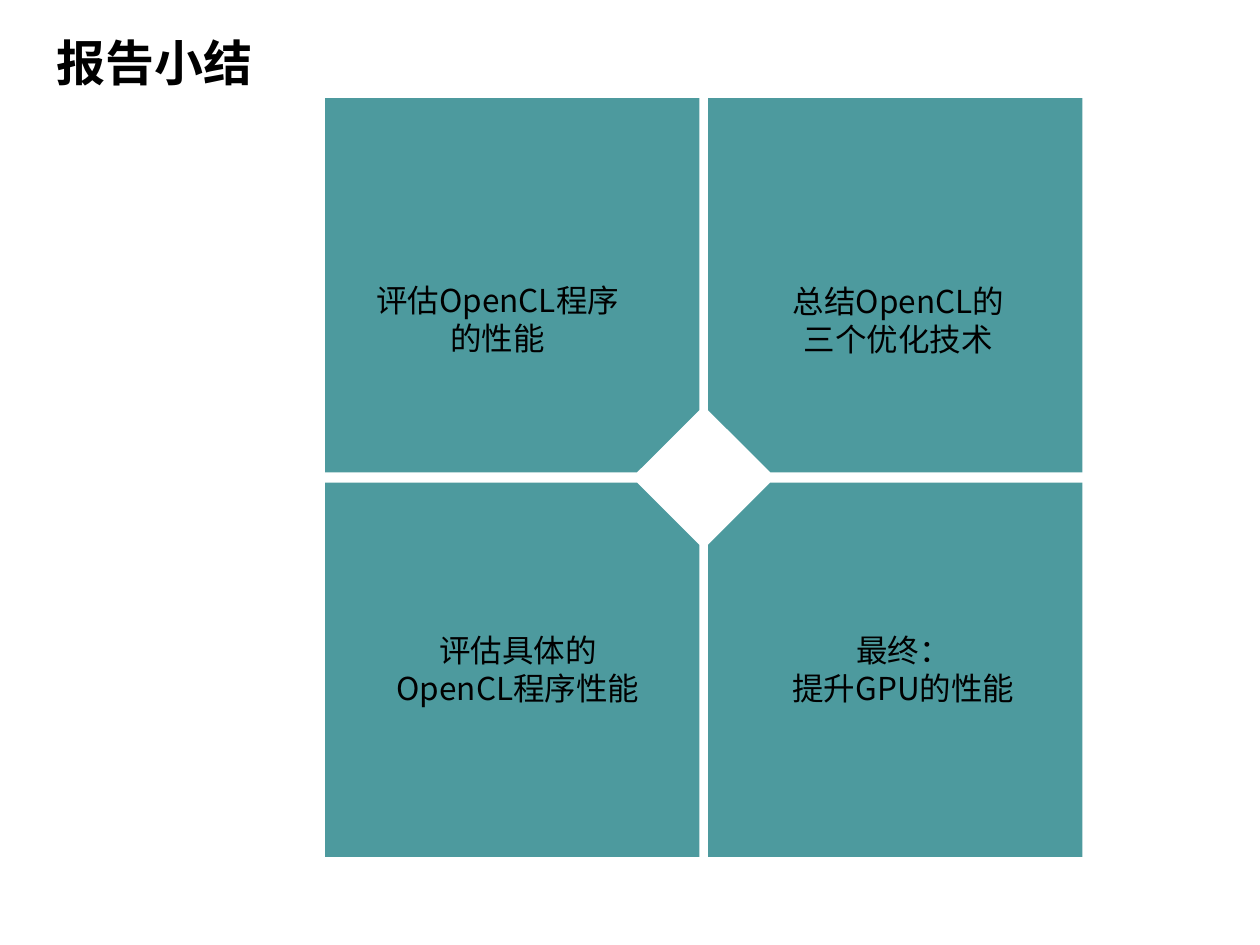
from pptx import Presentation
from pptx.dml.color import RGBColor
from pptx.enum.shapes import MSO_SHAPE as SHAPE
from pptx.enum.text import MSO_ANCHOR as ANCHOR, MSO_AUTO_SIZE as AUTO, PP_ALIGN as ALIGN
from pptx.oxml.ns import qn
from pptx.util import Inches, Pt
from lxml.etree import SubElement

CJK = "Noto Sans CJK SC"
TEAL, BLACK = "4D9A9E", "000000"
TITLE = dict(size=Pt(28), name="Arial", bold=True)
BODY = dict(size=Pt(18), name=CJK, bold=False)

# (column, row, text left and top within the tile, text width, lines)
TILES = [
    (0, 0, 0.28, 1.40, 2.18, ["评估OpenCL程序", "的性能"]),
    (1, 0, 0.55, 1.41, 1.92, ["总结OpenCL的", "三个优化技术"]),
    (0, 1, 0.44, 1.13, 2.18, ["评估具体的", "OpenCL程序性能"]),
    (1, 1, 0.55, 1.13, 2.00, ["最终：", "提升GPU的性能"]),
]


def rgb(value):
    """Return a colour from a hex string."""
    return RGBColor.from_string(value)


def place(sp, x, y, w, h):
    """Move and size a shape, in inches."""
    for key, value in dict(left=x, top=y, width=w, height=h).items():
        setattr(sp, key, Inches(value))


def write(sp, lines, fmt, align, wrap=True):
    """Fill a shape with one paragraph per line."""
    tf = sp.text_frame
    for key, value in dict(word_wrap=wrap, auto_size=AUTO.NONE,
                           vertical_anchor=ANCHOR.TOP).items():
        setattr(tf, key, value)
    for i, line in enumerate(lines):
        p = tf.add_paragraph() if i else tf.paragraphs[0]
        p.alignment = align
        r = p.add_run()
        r.text = line
        for key, value in fmt.items():
            setattr(r.font, key, value)
        r.font.color.rgb = rgb(BLACK)
        SubElement(r.font._element, qn("a:ea")).set("typeface", CJK)


def add_title(slide, text, x, y, w, h):
    """Place the slide title."""
    sp = slide.shapes.title
    place(sp, x, y, w, h)
    write(sp, [text], TITLE, ALIGN.LEFT, wrap=False)


def add_tile(slide, x, y, side, col, row):
    """Draw a square whose snipped corner faces the grid centre."""
    sp = slide.shapes.add_shape(SHAPE.SNIP_1_RECTANGLE, 0, 0, 0, 0)
    place(sp, x, y, side, side)
    sp.shadow.inherit = False
    sp.fill.solid()
    sp.fill.fore_color.rgb = rgb(TEAL)
    sp.line.fill.background()
    xfrm = sp._element.spPr.find(qn("a:xfrm"))
    for key, flipped in (("flipH", col == 1), ("flipV", row == 0)):
        if flipped:
            xfrm.set(key, "1")


def add_grid(slide, x, y, side, pitch_x, pitch_y):
    """Draw the four tiles, then a text box over each."""
    for col, row, *_ in TILES:
        add_tile(slide, x + col * pitch_x, y + row * pitch_y, side, col, row)
    for col, row, dx, dy, w, lines in TILES:
        sp = slide.shapes.add_textbox(0, 0, 0, 0)
        place(sp, x + col * pitch_x + dx, y + row * pitch_y + dy, w, 0.71)
        write(sp, lines, BODY, ALIGN.CENTER)


prs = Presentation()
prs.slide_width, prs.slide_height = Inches(10), Inches(7.5)
slide = prs.slides.add_slide(prs.slide_layouts[5])
add_title(slide, "报告小结", 0.35, 0.21, 1.77, 0.57)
add_grid(slide, 2.58, 0.78, 2.97, 3.04, 3.05)
prs.save("out.pptx")
